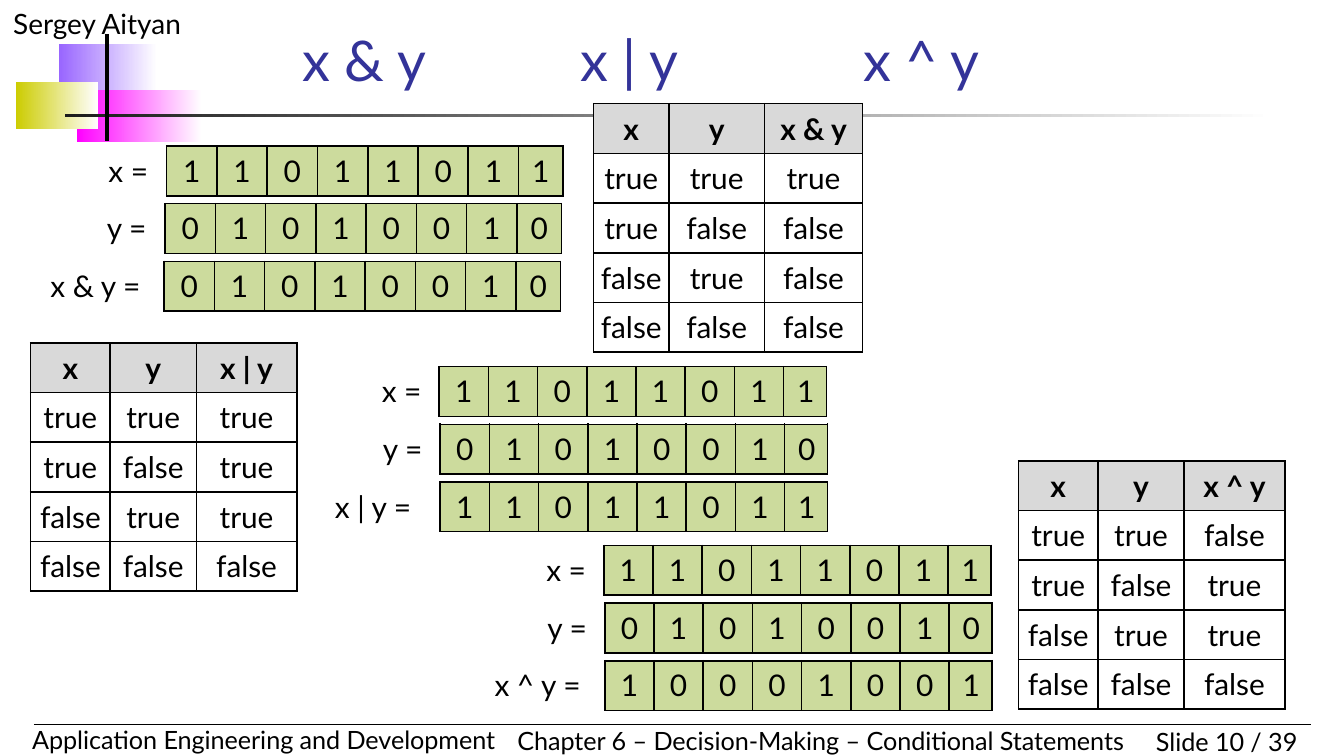
"""Build the slide on the bitwise and logical operators of x and y."""
import itertools
from dataclasses import dataclass
from typing import Callable

import lxml.etree
import pptx
import pptx.dml.color
import pptx.enum.shapes
import pptx.enum.text
import pptx.oxml.ns
import pptx.util

Cm = pptx.util.Cm
Pt = pptx.util.Pt
ALIGN = pptx.enum.text.PP_ALIGN
ANCHOR = pptx.enum.text.MSO_ANCHOR
FONT = "Lato"
BLACK, GREEN, GREY, BLUE = "000000", "CCDB9D", "D9D9D9", "333399"
PLAIN = "{2D5ABB26-0587-4C30-8999-92F81FD0307C}"
X, Y = 0b11011011, 0b01010010
ROW, STEP = 0.94, 1.09


@dataclass
class Case:
    sign: str
    rule: Callable[[int, int], int]
    lefts: tuple[float, float, float]
    top: float
    short: float
    long: float
    bit: float
    last: float
    truth: tuple[float, float]
    cols: tuple[float, float, float]


@dataclass
class Bar:
    left: float
    top: float
    width: float
    height: float
    color: str


@dataclass
class Note:
    text: str
    left: float
    top: float
    width: float
    size: float
    align: ALIGN = ALIGN.LEFT
    wrap: bool = True


@dataclass
class Rule:
    start: tuple[float, float]
    end: tuple[float, float]
    weight: float


CASES = [
    Case("&", lambda a, b: a & b, (3.15, 3.12, 3.1), 2.76, 1.45, 2.59, 0.95, 0.84,
         (11.22, 1.96), (1.42, 1.81, 1.85)),
    Case("|", lambda a, b: a | b, (8.3, 8.32, 8.32), 6.93, 1.42, 2.54, 0.93, 0.81,
         (0.58, 6.48), (1.5, 1.63, 1.9)),
    Case("^", lambda a, b: a ^ b, (11.41, 11.43, 11.43), 10.31, 1.42, 2.54, 0.93, 0.81,
         (19.25, 8.71), (1.5, 1.63, 1.9)),
]
BARS = [
    Bar(1.12, 0.84, 1.85, 0.99, "9966FF"),
    Bar(1.45, 1.7, 2.36, 0.99, "FF00FF"),
    Bar(0.3, 1.55, 1.55, 0.89, "CCCC00"),
    Bar(1.22, 2.16, 22.86, 0.06, "1C1C1C"),
]
NOTES = [
    Note("Sergey Aityan", 0, 0, 6.35, 15),
    Note("Slide 10 / 39", 20.96, 13.61, 3.81, 13.5, ALIGN.RIGHT),
    Note("Application Engineering and Development", 0.36, 13.56, 9.4, 13.5),
    Note("Chapter 6 – Decision-Making – Conditional Statements", 9.53, 13.59, 12.09, 13.5,
         wrap=False),
]
RULES = [
    Rule((0.64, 13.69), (24.77, 13.69), 0.75),
    Rule((2.03, 0.64), (2.03, 2.67), 2),
]


def tint(code: str) -> pptx.dml.color.RGBColor:
    """Turn a hex string into a colour."""
    return pptx.dml.color.RGBColor.from_string(code)


def style(frame, size: float, color: str = BLACK, bold: bool = False,
          align: ALIGN = ALIGN.LEFT) -> None:
    """Format every run of a text frame."""
    for para in frame.paragraphs:
        para.alignment = align
        for run in para.runs:
            run.font.name, run.font.size, run.font.bold = FONT, Pt(size), bold
            run.font.color.rgb = tint(color)


def add_title(slide, text: str, stops: list[float]) -> None:
    """Fill and place the title, with its parts set at tab stops."""
    title = slide.shapes.title
    title.left, title.top, title.width, title.height = Cm(5.46), Cm(0.51), Cm(18.11), Cm(1.37)
    frame = title.text_frame
    frame.text = text
    frame.auto_size = pptx.enum.text.MSO_AUTO_SIZE.NONE
    frame.vertical_anchor = ANCHOR.BOTTOM
    style(frame, 30, BLUE)
    props = frame.paragraphs[0]._p.get_or_add_pPr()
    tabs = lxml.etree.SubElement(props, pptx.oxml.ns.qn("a:tabLst"))
    for stop in stops:
        lxml.etree.SubElement(tabs, pptx.oxml.ns.qn("a:tab"), pos=str(int(Cm(stop))), algn="l")


def add_bar(slide, bar: Bar) -> None:
    """Draw a bar that fades to white."""
    shape = slide.shapes.add_shape(pptx.enum.shapes.MSO_SHAPE.RECTANGLE, Cm(bar.left),
                                   Cm(bar.top), Cm(bar.width), Cm(bar.height))
    shape.shadow.inherit = False
    shape.line.fill.background()
    shape.fill.gradient()
    shape.fill.gradient_angle = 0
    for stop, code in zip(shape.fill.gradient_stops, (bar.color, "FFFFFF")):
        stop.color.rgb = tint(code)


def add_note(slide, note: Note) -> None:
    """Write a header or footer text."""
    box = slide.shapes.add_textbox(Cm(note.left), Cm(note.top), Cm(note.width), Cm(0.85))
    box.text_frame.text = note.text
    box.text_frame.word_wrap = note.wrap
    style(box.text_frame, note.size, align=note.align)


def add_rule(slide, rule: Rule) -> None:
    """Draw a straight black line."""
    ends = [Cm(value) for value in rule.start + rule.end]
    line = slide.shapes.add_connector(pptx.enum.shapes.MSO_CONNECTOR.STRAIGHT, *ends)
    line.line.color.rgb = tint(BLACK)
    line.line.width = Pt(rule.weight)
    lxml.etree.SubElement(line._element.spPr, pptx.oxml.ns.qn("a:effectLst"))


def add_edges(cell, sides: str) -> None:
    """Give a cell black borders on the named sides."""
    props = cell._tc.get_or_add_tcPr()
    for side in sides:
        edge = lxml.etree.SubElement(props, pptx.oxml.ns.qn(f"a:ln{side}"), w=str(int(Pt(1))))
        fill = lxml.etree.SubElement(edge, pptx.oxml.ns.qn("a:solidFill"))
        lxml.etree.SubElement(fill, pptx.oxml.ns.qn("a:srgbClr"), val=BLACK)


def add_grid(slide, left: float, top: float, cols: list[float], rows: int):
    """Add an unstyled table with the given columns."""
    frame = slide.shapes.add_table(rows, len(cols), Cm(left), Cm(top), Cm(sum(cols)),
                                   Cm(ROW * rows))
    grid = frame.table
    grid.first_row = grid.horz_banding = False
    grid._tbl.tblPr[0].text = PLAIN
    for col, width in zip(grid.columns, cols):
        col.width = Cm(width)
    return grid


def set_cell(cell, text: str, fill: str = "", sides: str = "LRTB", bold: bool = False) -> None:
    """Write, border and fill one cell."""
    cell.text = text
    style(cell.text_frame, 16, bold=bold, align=ALIGN.CENTER)
    add_edges(cell, sides)
    if fill:
        cell.fill.solid()
        cell.fill.fore_color.rgb = tint(fill)
    else:
        cell.fill.background()


def add_bits(slide, case: Case) -> None:
    """Draw the bits of x, y and their result."""
    lines = [("x =", X, case.short), ("y =", Y, case.short),
             (f"x {case.sign} y =", case.rule(X, Y), case.long)]
    for i, (name, value, label) in enumerate(lines):
        cols = [label] + [case.bit] * 7 + [case.last]
        grid = add_grid(slide, case.lefts[i] - label, case.top + i * STEP, cols, 1)
        set_cell(grid.cell(0, 0), name, sides="R")
        for j, bit in enumerate(f"{value:08b}", 1):
            set_cell(grid.cell(0, j), bit, GREEN)


def add_truth(slide, case: Case) -> None:
    """Draw the truth table of an operator."""
    rows = [("x", "y", f"x {case.sign} y")]
    for a, b in itertools.product((True, False), repeat=2):
        rows.append(tuple(str(value).lower() for value in (a, b, case.rule(a, b))))
    grid = add_grid(slide, *case.truth, case.cols, len(rows))
    for i, row in enumerate(rows):
        for j, text in enumerate(row):
            cell = grid.cell(i, j)
            cell.margin_left = cell.margin_right = Cm(0.13)
            cell.vertical_anchor = ANCHOR.MIDDLE
            set_cell(cell, text, "" if i else GREY, bold=i == 0)


def main() -> None:
    """Build and save the slide."""
    deck = pptx.Presentation()
    deck.slide_width, deck.slide_height = Cm(25.4), Cm(14.29)
    slide = deck.slides.add_slide(deck.slide_layouts[5])
    add_title(slide, "\t".join(f"x {case.sign} y" for case in CASES), [5.25, 10.6])
    for draw, items in ((add_bar, BARS), (add_note, NOTES), (add_rule, RULES),
                        (add_bits, CASES), (add_truth, CASES)):
        for item in items:
            draw(slide, item)
    deck.save("out.pptx")


if __name__ == "__main__":
    main()
